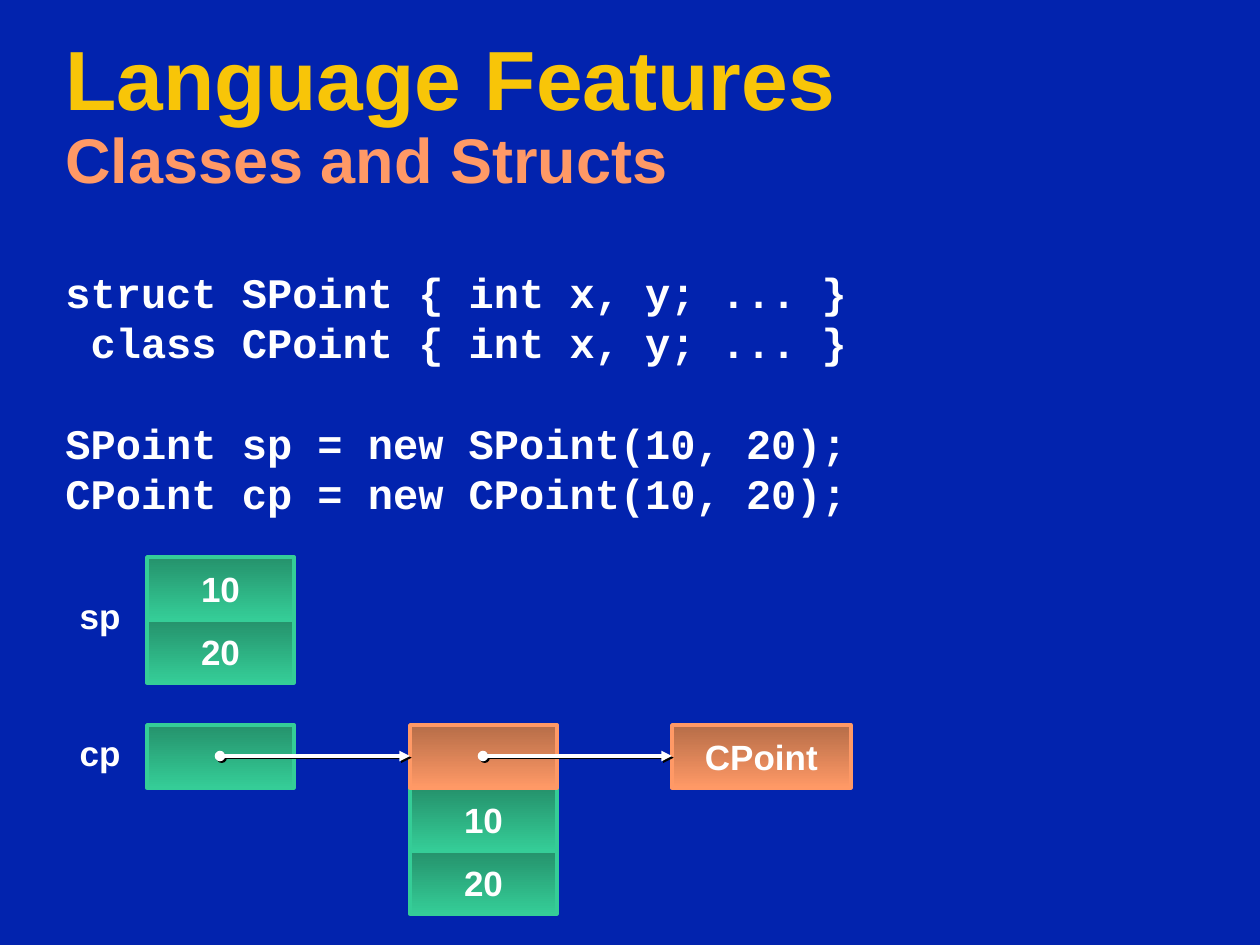
from lxml.etree import SubElement
from pptx import Presentation
from pptx.dml.color import RGBColor
from pptx.enum.shapes import MSO_CONNECTOR, MSO_SHAPE
from pptx.enum.text import MSO_ANCHOR as Anchor, PP_ALIGN as Align
from pptx.oxml.ns import qn
from pptx.util import Pt

EMU_PER_PX = 914400 / 126
NAVY = RGBColor(0x02, 0x23, 0xAE)
GOLD = RGBColor(0xF8, 0xC5, 0x08)
ORANGE = RGBColor(0xFF, 0x99, 0x66)
GREEN = RGBColor(0x35, 0xCD, 0x97)
WHITE = RGBColor(0xFF, 0xFF, 0xFF)
BLACK = RGBColor(0x00, 0x00, 0x00)

CELL_WIDTH, CELL_HEIGHT = 147, 63
STACK_X, HEAP_X, TYPE_X = 147, 410, 672
SP_Y, CP_Y = 557, 725


def px(*lengths):
    """Turn pixel lengths into EMU."""
    return [round(length * EMU_PER_PX) for length in lengths]


def set_font(font, size, color=WHITE, name="Arial"):
    """Apply the bold slide font."""
    font.name, font.size, font.bold = name, Pt(size), True
    font.color.rgb = color


def add_text_frame(slide, left, top, width, height, wrap=True):
    """Add a text box and return its frame."""
    frame = slide.shapes.add_textbox(*px(left, top, width, height)).text_frame
    frame.word_wrap = wrap
    return frame


def add_title(slide, title, subtitle):
    """Add the two-line heading."""
    paragraph = add_text_frame(slide, 53, 32, 1176, 171).paragraphs[0]
    paragraph.line_spacing = 0.9
    run = paragraph.add_run()
    run.text = title
    set_font(run.font, 48, GOLD)
    paragraph.add_line_break()
    run = paragraph.add_run()
    run.text = subtitle
    set_font(run.font, 36, ORANGE)


def add_code(slide, blocks):
    """Add code blocks separated by one line of space."""
    frame = add_text_frame(slide, 53, 260, 811, 265, wrap=False)
    paragraph = None
    for block in blocks:
        for index, line in enumerate(block):
            is_first = paragraph is None
            paragraph = frame.paragraphs[0] if is_first else frame.add_paragraph()
            paragraph.text = line
            paragraph.line_spacing = Pt(28.8)
            if index == 0 and not is_first:
                paragraph.space_before = Pt(28.8)
            set_font(paragraph.font, 24, name="Courier New")


def add_label(slide, top, text):
    """Add a right-aligned variable name."""
    frame = add_text_frame(slide, 53, top, 80, 54)
    frame.vertical_anchor = Anchor.MIDDLE
    paragraph = frame.paragraphs[0]
    paragraph.text, paragraph.alignment = text, Align.RIGHT
    set_font(paragraph.font, 20)


def add_cell(slide, left, top, color, text="", width=CELL_WIDTH):
    """Add a memory cell shaded from dark to light."""
    shape = slide.shapes.add_shape(MSO_SHAPE.RECTANGLE, *px(left, top, width, CELL_HEIGHT))
    shape.shadow.inherit = False
    shape.fill.gradient()
    shape.fill.gradient_angle = 270
    for stop, position in zip(shape.fill.gradient_stops, (0, 1)):
        stop.color.rgb, stop.position = color, position
    dark = shape._element.spPr.find(".//" + qn("a:srgbClr"))
    SubElement(dark, qn("a:shade"), val="46275")
    shape.line.color.rgb, shape.line.width = color, Pt(2)
    if text:
        frame = shape.text_frame
        frame.word_wrap, frame.vertical_anchor = False, Anchor.MIDDLE
        paragraph = frame.paragraphs[0]
        paragraph.text, paragraph.alignment = text, Align.CENTER
        set_font(paragraph.font, 20)


def add_reference(slide, start_x, end_x):
    """Add a shadowed arrow from a pointer cell to its target."""
    y = CP_Y + CELL_HEIGHT // 2
    arrow = slide.shapes.add_connector(MSO_CONNECTOR.STRAIGHT, *px(start_x, y, end_x, y))
    arrow.line.color.rgb, arrow.line.width = WHITE, Pt(2)
    line = arrow.line._get_or_add_ln()
    SubElement(line, qn("a:headEnd"), type="oval")
    SubElement(line, qn("a:tailEnd"), type="triangle")
    effects = SubElement(arrow._element.spPr, qn("a:effectLst"))
    shadow = SubElement(effects, qn("a:outerShdw"), dist="17780", dir="2700000")
    SubElement(shadow, qn("a:srgbClr"), val=str(BLACK))


def main():
    """Build the slide."""
    presentation = Presentation()
    presentation.slide_width, presentation.slide_height = px(1260, 945)
    slide = presentation.slides.add_slide(presentation.slide_layouts[6])
    slide.background.fill.solid()
    slide.background.fill.fore_color.rgb = NAVY

    add_title(slide, "Language Features", "Classes and Structs")
    add_code(slide, [
        ["struct SPoint { int x, y; ... }", " class CPoint { int x, y; ... }"],
        ["SPoint sp = new SPoint(10, 20);", "CPoint cp = new CPoint(10, 20);"],
    ])

    for left, top in ((STACK_X, SP_Y), (HEAP_X, CP_Y + CELL_HEIGHT)):
        for row, value in enumerate(("10", "20")):
            add_cell(slide, left, top + row * CELL_HEIGHT, GREEN, value)
    add_label(slide, 588, "sp")
    add_label(slide, CP_Y, "cp")

    add_cell(slide, STACK_X, CP_Y, GREEN)
    add_cell(slide, HEAP_X, CP_Y, ORANGE)
    add_cell(slide, TYPE_X, CP_Y, ORANGE, "CPoint", width=179)
    for start, end in ((STACK_X, HEAP_X), (HEAP_X, TYPE_X)):
        add_reference(slide, start + CELL_WIDTH // 2, end)

    presentation.save("out.pptx")


if __name__ == "__main__":
    main()
